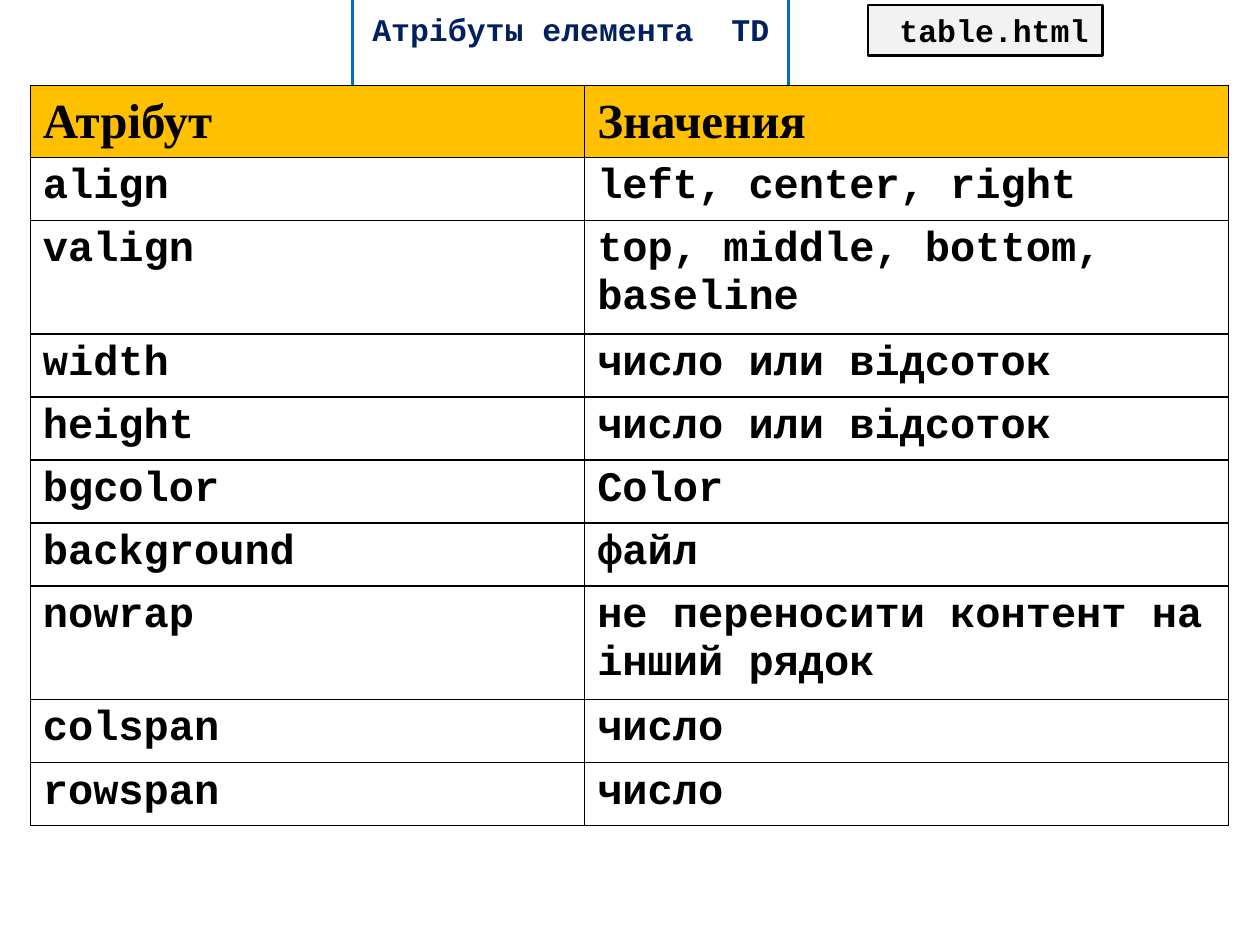
from lxml import etree
from pptx import Presentation
from pptx.dml.color import RGBColor
from pptx.enum import shapes, text
from pptx.oxml.ns import qn
from pptx.util import Inches, Pt

CODE_FONT = "Courier New"
HEAD_FONT = "Times New Roman"
ATTRIBUTES = [
    ("Атрібут", "Значения"),
    ("align", "left, center, right"),
    ("valign", "top, middle, bottom, baseline"),
    ("width", "число или відсоток"),
    ("height", "число или відсоток"),
    ("bgcolor", "Color"),
    ("background", "файл"),
    ("nowrap", "не переносити контент на інший рядок"),
    ("colspan", "число"),
    ("rowspan", "число"),
]
HEAD_HEIGHT, ROW_HEIGHT, TALL_HEIGHT = 0.57, 0.5, 0.9
TALL_ROWS = ("valign", "nowrap")


def color(value):
    return RGBColor.from_string(value)


class Page:
    """The current slide and its style."""

    ink = "000000"

    def __init__(self, deck):
        self.slide = deck.slides.add_slide(deck.slide_layouts[5])

    def set_text(self, frame, words, size, font=CODE_FONT, ink=ink, align=text.PP_ALIGN.LEFT):
        para = frame.paragraphs[0]
        para.text = words
        para.alignment = align
        para.font.size = Pt(size)
        para.font.name = font
        para.font.bold = True
        para.font.color.rgb = color(ink)

    def outline(self, shape, line):
        shape.line.color.rgb = color(line)
        shape.line.width = Pt(1.5)

    def title(self, words, left, top, width, height):
        box = self.slide.shapes.title
        box.left, box.top = Inches(left), Inches(top)
        box.width, box.height = Inches(width), Inches(height)
        self.outline(box, "0070C0")
        frame = box.text_frame
        frame.word_wrap = True
        frame.auto_size = text.MSO_AUTO_SIZE.SHAPE_TO_FIT_TEXT
        frame.vertical_anchor = text.MSO_ANCHOR.MIDDLE
        self.set_text(frame, words, 18, ink="002060", align=text.PP_ALIGN.CENTER)

    def label(self, words, left, top, width, height):
        box = self.slide.shapes.add_shape(
            shapes.MSO_SHAPE.RECTANGLE,
            Inches(left), Inches(top), Inches(width), Inches(height))
        box.shadow.inherit = False
        box.fill.solid()
        box.fill.fore_color.rgb = color("F2F2F2")
        self.outline(box, self.ink)
        frame = box.text_frame
        frame.word_wrap = False
        frame.auto_size = text.MSO_AUTO_SIZE.SHAPE_TO_FIT_TEXT
        frame.vertical_anchor = text.MSO_ANCHOR.TOP
        self.set_text(frame, words, 18)

    def borders(self, cell):
        props = cell._tc.get_or_add_tcPr()
        for index, side in enumerate(("lnL", "lnR", "lnT", "lnB")):
            line = etree.Element(qn("a:" + side), w=str(Pt(1)))
            fill = etree.SubElement(line, qn("a:solidFill"))
            etree.SubElement(fill, qn("a:srgbClr"), val=self.ink)
            props.insert(index, line)

    def table(self, rows, left, top, widths, heights):
        grid = self.slide.shapes.add_table(
            len(rows), len(widths), Inches(left), Inches(top),
            Inches(sum(widths)), Inches(sum(heights))).table
        for column, width in zip(grid.columns, widths):
            column.width = Inches(width)
        for row, height in zip(grid.rows, heights):
            row.height = Inches(height)
        for r, row in enumerate(rows):
            for c, words in enumerate(row):
                cell = grid.cell(r, c)
                if r == 0:
                    cell.fill.solid()
                    cell.fill.fore_color.rgb = color("FFC000")
                    cell.vertical_anchor = text.MSO_ANCHOR.MIDDLE
                    self.set_text(cell.text_frame, words, 28, HEAD_FONT)
                else:
                    cell.fill.background()
                    self.set_text(cell.text_frame, words, 24)
                self.borders(cell)


deck = Presentation()
deck.slide_width, deck.slide_height = Inches(10), Inches(7.5)
page = Page(deck)

# Heading and file name
page.title("Атрібуты елемента  TD", 2.8, 0.03, 3.46, 0.4)
page.label(" table.html", 6.89, 0.04, 1.86, 0.4)

# Attribute table
heights = [HEAD_HEIGHT] + [
    TALL_HEIGHT if name in TALL_ROWS else ROW_HEIGHT for name, _ in ATTRIBUTES[1:]]
page.table(ATTRIBUTES, 0.24, 0.68, (4.4, 5.11), heights)

deck.save("out.pptx")
